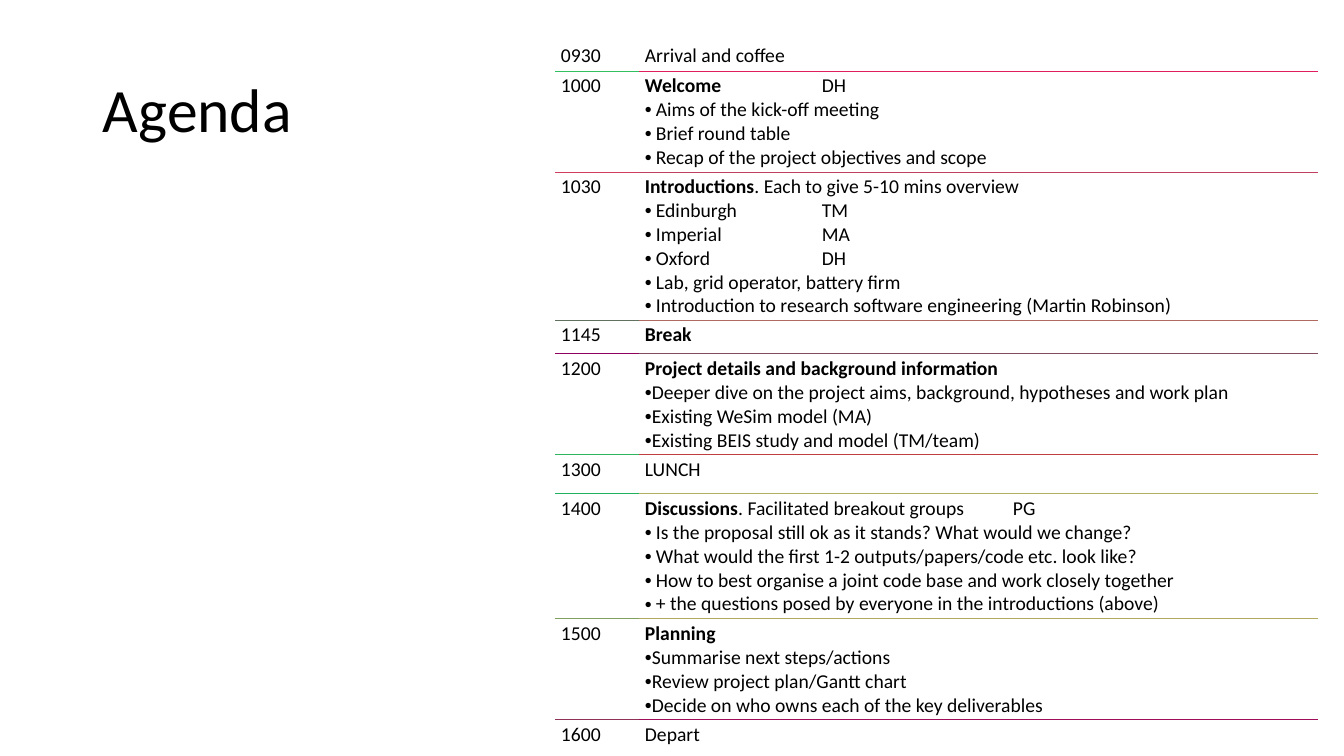
from lxml import etree
from pptx import Presentation
from pptx.dml.color import RGBColor
from pptx.enum.text import MSO_ANCHOR
from pptx.oxml.ns import qn
from pptx.util import Pt

PX = 914400 / 100.8
FONT = "Calibri"
BLACK = RGBColor(0x00, 0x00, 0x00)
TOP, MIDDLE, BOTTOM = MSO_ANCHOR.TOP, MSO_ANCHOR.MIDDLE, MSO_ANCHOR.BOTTOM
COLUMNS = (84, 677)
RULE_WIDTH = Pt(0.75)
WIDE, TIGHT = 11, 7  # bullet indents in px
LEAD_TAB, GROUP_TAB = 177, 368  # where the initials of a session lead start

# height, time, bold heading, rest of heading, bullet indent, bullets
SESSIONS = [
    (71, "0930", "", "Arrival and coffee", 0, []),
    (101, "1000", "Welcome", "\tDH", WIDE, [
        "Aims of the kick-off meeting",
        "Brief round table",
        "Recap of the project objectives and scope"]),
    (148, "1030", "Introductions", ". Each to give 5-10 mins overview", WIDE, [
        "Edinburgh\tTM",
        "Imperial\tMA",
        "Oxford\tDH",
        "Lab, grid operator, battery firm",
        "Introduction to research software engineering (Martin Robinson)"]),
    (34, "1145", "Break", "", 0, []),
    (101, "1200", "Project details and background information", "", TIGHT, [
        "Deeper dive on the project aims, background, hypotheses and work plan",
        "Existing WeSim model (MA)",
        "Existing BEIS study and model (TM/team)"]),
    (39, "1300", "", "LUNCH", 0, []),
    (125, "1400", "Discussions", ". Facilitated breakout groups\tPG", WIDE, [
        "Is the proposal still ok as it stands? What would we change?",
        "What would the first 1-2 outputs/papers/code etc. look like?",
        "How to best organise a joint code base and work closely together",
        "+ the questions posed by everyone in the introductions (above)"]),
    (101, "1500", "Planning", "", TIGHT, [
        "Summarise next steps/actions",
        "Review project plan/Gantt chart",
        "Decide on who owns each of the key deliverables"]),
    (31, "1600", "", "Depart", 0, []),
]
# Rule under each session but the last: time column, topic column
RULES = [
    ("30C05F", "E01D5D"), ("D03D5F", "C03E5F"), ("60715F", "B06A5F"),
    ("90005F", "804E5F"), ("30B65E", "C03D40"), ("20B15E", "B0B15E"),
    ("80A15E", "B0AA5E"), ("903258", "A00D58"),
]


def px(n):
    return round(n * PX)


def add_run(p, text, size=14, bold=False):
    r = p.add_run()
    r.text = text
    r.font.name = FONT
    r.font.size = Pt(size)
    r.font.bold = bold
    r.font.color.rgb = BLACK


def set_bullet(p, indent):
    pPr = p._p.get_or_add_pPr()
    pPr.set("marL", str(px(indent)))
    pPr.set("indent", str(-px(indent)))
    etree.SubElement(pPr, qn("a:buFont"), typeface="Arial")
    etree.SubElement(pPr, qn("a:buChar"), char="•")


def set_tab(p, text):
    if "\t" in text:
        stop = GROUP_TAB if text.startswith(". ") else LEAD_TAB
        tabs = etree.SubElement(p._p.get_or_add_pPr(), qn("a:tabLst"))
        etree.SubElement(tabs, qn("a:tab"), pos=str(px(stop)), algn="l")


def add_rule(cell, side, color):
    ln = etree.SubElement(cell._tc.get_or_add_tcPr(), qn(side), w=str(RULE_WIDTH))
    fill = etree.SubElement(ln, qn("a:solidFill"))
    etree.SubElement(fill, qn("a:srgbClr"), val=color)


def format_cell(cell, row, col):
    cell.margin_left = cell.margin_right = px(5)
    cell.margin_top = cell.margin_bottom = px(3)
    cell.vertical_anchor = BOTTOM if row == 0 else TOP
    if row > 0:
        add_rule(cell, "a:lnT", RULES[row - 1][col])
    if row < len(RULES):
        add_rule(cell, "a:lnB", RULES[row][col])
    cell.fill.background()


def fill_topic(tf, heading, rest, indent, bullets):
    p = tf.paragraphs[0]
    set_tab(p, rest)
    if heading:
        add_run(p, heading, bold=True)
    if rest:
        add_run(p, rest)
    for text in bullets:
        p = tf.add_paragraph()
        set_bullet(p, indent)
        set_tab(p, text)
        add_run(p, text)


def add_title(s, x, y, w, h):
    tf = s.shapes.add_textbox(px(x), px(y), px(w), px(h)).text_frame
    tf.word_wrap = True
    tf.vertical_anchor = MIDDLE
    p = tf.paragraphs[0]
    p.line_spacing = 0.9
    add_run(p, "Agenda", size=44)


def add_agenda(s, x, y):
    height = sum(session[0] for session in SESSIONS)
    table = s.shapes.add_table(len(SESSIONS), len(COLUMNS), px(x), px(y),
                               px(sum(COLUMNS)), px(height)).table
    table.first_row = table.horz_banding = False
    for column, width in zip(table.columns, COLUMNS):
        column.width = px(width)
    for i, (row_height, time, *topic) in enumerate(SESSIONS):
        table.rows[i].height = px(row_height)
        time_cell, topic_cell = table.cell(i, 0), table.cell(i, 1)
        format_cell(time_cell, i, 0)
        format_cell(topic_cell, i, 1)
        add_run(time_cell.text_frame.paragraphs[0], time)
        fill_topic(topic_cell.text_frame, *topic)


def main():
    prs = Presentation()
    prs.slide_width, prs.slide_height = px(1344), px(756)
    s = prs.slides.add_slide(prs.slide_layouts[6])
    add_title(s, 93, 40, 1159, 146)
    add_agenda(s, 556, 0)
    prs.save("out.pptx")


if __name__ == "__main__":
    main()
